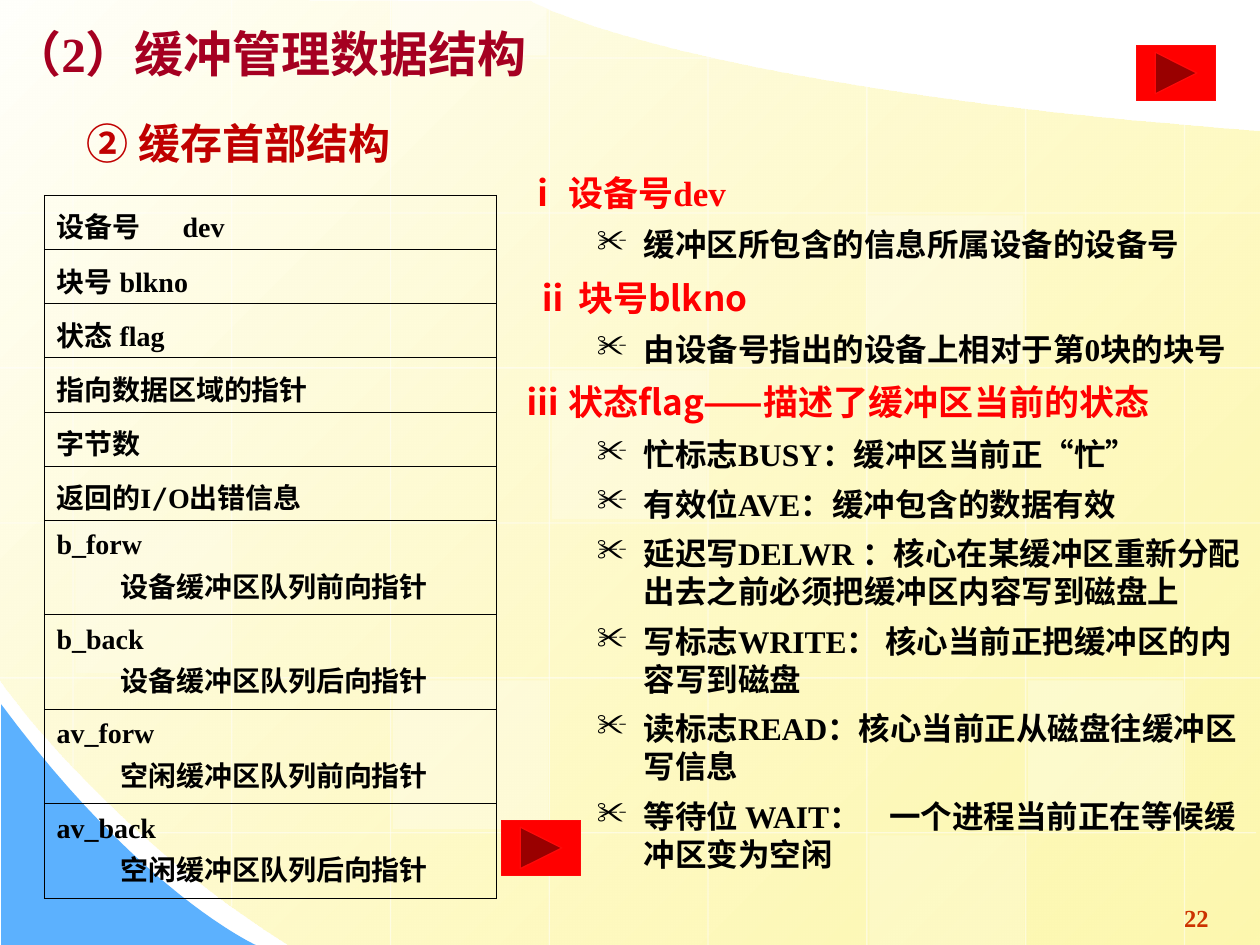
"""Build the slide on buffer management data structures."""
import pptx
import pptx.dml.color
import pptx.enum.shapes
import pptx.enum.text
import pptx.oxml.ns
import pptx.util
from lxml import etree

Inches, Pt = pptx.util.Inches, pptx.util.Pt
RGBColor = pptx.dml.color.RGBColor
SHAPE = pptx.enum.shapes.MSO_SHAPE
ALIGN = pptx.enum.text.PP_ALIGN
qn = pptx.oxml.ns.qn

WHITE, BLACK = RGBColor(255, 255, 255), RGBColor(0, 0, 0)
CREAM, YELLOW = RGBColor(0xFF, 0xFF, 0xFB), RGBColor(0xFD, 0xF5, 0x8D)
BLUE, RED = RGBColor(0x5C, 0xB1, 0xFE), RGBColor(255, 0, 0)
BUTTON_LINE, CRIMSON = RGBColor(0xFF, 0x09, 0x09), RGBColor(0xA5, 0, 0x21)
DARK_RED, ORANGE = RGBColor(0xC0, 0, 0), RGBColor(0xCC, 0x33, 0)
SERIF, SANS, MONO = "Times New Roman", "Noto Sans CJK SC", "DejaVu Sans Mono"

SWEEP = [(10, 1.04), [(10, 4.27), (10, 7.5), (10, 7.5)], [(10, 7.5), (6.15, 7.5), (2.3, 7.5)],
         [(0.86, 6.61), (-0.01, 5.39), (0, 5.39)], (-0.01, -0.01), (4.21, 0.01),
         [(4.21, 0.01), (5.37, 0.69), (10, 1.04)]]
CORNER = [(0.01, 5.59), (0.01, 7.5), (2.03, 7.5), [(2.03, 7.5), (1.12, 7.09), (0.01, 5.59)]]
VERTICAL_SPANS = [(0, 6.09), (0, 7.19), (0, 7.5), (0, 7.52), (0.43, 7.52), (0.68, 7.52),
                  (0.85, 7.52), (0.98, 7.52)]
HORIZONTAL_SPANS = [(5.68, 0), (10.01, 0), (10.01, 0), (10.01, 0), (10.01, 0), (9.97, 1.11)]
TILES = [(4.38, 2.94, 1.18, 25), (8.16, 5.4, 1.18, 30), (0.6, 4.16, 1.18, 20),
         (6.9, 6.63, 0.87, 20), (3.11, 0, 0.44, 40), (3.12, 5.4, 1.18, 30),
         (6.89, 1.71, 1.18, 30)]
BUTTONS = [(3.98, 6.51), (9.02, 0.36)]

FIELDS = [("设备号\tdev", 0.98), ("块号\tblkno", 0.86), ("状态\tflag", 0.86),
          ("指向数据区域的指针", None), ("字节数", None),
          ([("返回的I", SERIF), ("/", MONO), ("O出错信息", SERIF)], None)]
POINTERS = [("b_forw", "设备缓冲区队列前向指针"), ("b_back", "设备缓冲区队列后向指针"),
            ("av_forw", "空闲缓冲区队列前向指针"), ("av_back", "空闲缓冲区队列后向指针")]
SECTIONS = [
    ([("ⅰ ", SANS), ("设备号dev", SERIF)], 0.06, ["缓冲区所包含的信息所属设备的设备号"]),
    ([("ⅱ 块号blkno", SANS)], 0.14, ["由设备号指出的设备上相对于第0块的块号"]),
    ([("ⅲ 状态flag——描述了缓冲区当前的状态", SANS)], 0.06, [
        "忙标志BUSY：缓冲区当前正“忙”",
        "有效位AVE：缓冲包含的数据有效",
        "延迟写DELWR ：核心在某缓冲区重新分配出去之前必须把缓冲区内容写到磁盘上",
        "写标志WRITE： 核心当前正把缓冲区的内容写到磁盘",
        "读标志READ：核心当前正从磁盘往缓冲区写信息",
        "等待位 WAIT：\t一个进程当前正在等候缓冲区变为空闲"]),
]


def add_element(parent, tag, **attributes):
    element = etree.SubElement(parent, qn(tag))
    for name, value in attributes.items():
        element.set(name, str(value))
    return element


def set_alpha(color_parent, percent):
    color = next(color_parent.iter(qn("a:srgbClr")))
    add_element(color, "a:alpha", val=percent * 1000)


def add_text(frame, text, size=16, color=BLACK, left=0, hanging=0, before=0, spacing=None,
             bullet=None, tab=None, align=ALIGN.LEFT):
    first = not frame.paragraphs[0].runs
    paragraph = frame.paragraphs[0] if first else frame.add_paragraph()
    paragraph.alignment = align
    paragraph.space_before = Pt(0 if first else before)
    if spacing:
        paragraph.line_spacing = spacing
    properties = paragraph._p.get_or_add_pPr()
    properties.set("marL", str(Inches(left)))
    properties.set("indent", str(Inches(-hanging)))
    if bullet:
        add_element(add_element(properties, "a:buClr"), "a:srgbClr", val=color)
        add_element(properties, "a:buChar", char=bullet)
    if tab:
        add_element(add_element(properties, "a:tabLst"), "a:tab", pos=Inches(tab), algn="l")
    for words, font in [(text, SERIF)] if isinstance(text, str) else text:
        run = paragraph.add_run()
        run.text = words
        run.font.size, run.font.bold, run.font.name = Pt(size), True, font
        run.font.color.rgb = color
        add_element(run._r.get_or_add_rPr(), "a:ea", typeface=SANS)


def add_box(slide, left, top, width, height):
    box = slide.shapes.add_textbox(Inches(left), Inches(top), Inches(width), Inches(height))
    box.text_frame.word_wrap = True
    return box.text_frame


def flatten(outline, steps=24):
    points = [outline[0]]
    for part in outline[1:]:
        if isinstance(part, tuple):
            points.append(part)
            continue
        start = points[-1]
        for step in range(1, steps + 1):
            t = step / steps
            weights = ((1 - t) ** 3, 3 * t * (1 - t) ** 2, 3 * t * t * (1 - t), t ** 3)
            points.append(tuple(sum(weight * point[axis] for weight, point
                                    in zip(weights, [start] + part)) for axis in (0, 1)))
    return [(Inches(x), Inches(y)) for x, y in points]


def add_outline(slide, outline):
    start, *rest = flatten(outline)
    builder = slide.shapes.build_freeform(*start, scale=1.0)
    builder.add_line_segments(rest, close=True)
    shape = builder.convert_to_shape()
    shape.shadow.inherit = False
    shape.line.fill.background()
    return shape


def add_grid_line(slide, *ends):
    line = slide.shapes.add_connector(pptx.enum.shapes.MSO_CONNECTOR.STRAIGHT,
                                      *[Inches(end) for end in ends])
    line.line.color.rgb = WHITE
    line.line.width = Pt(0.75)
    set_alpha(line._element.spPr, 50)
    add_element(line._element.spPr, "a:effectLst")


def add_filled(slide, preset, left, top, width, height, color):
    shape = slide.shapes.add_shape(preset, Inches(left), Inches(top), Inches(width),
                                   Inches(height))
    shape.shadow.inherit = False
    shape.fill.solid()
    shape.fill.fore_color.rgb = color
    return shape


def add_background(slide):
    sweep = add_outline(slide, SWEEP)
    sweep.fill.gradient()
    sweep.fill.gradient_angle = 315
    for stop, color, position in zip(sweep.fill.gradient_stops, (CREAM, YELLOW), (0, 1)):
        stop.color.rgb = color
        stop.position = position
    set_alpha(sweep._element.spPr.findall(".//" + qn("a:gs"))[1], 70)
    corner = add_outline(slide, CORNER)
    corner.fill.solid()
    corner.fill.fore_color.rgb = BLUE
    for index, (top, bottom) in enumerate(VERTICAL_SPANS):
        x = 0.58 + 1.26 * index
        add_grid_line(slide, x, top, x, bottom)
    for index, (right, left) in enumerate(HORIZONTAL_SPANS):
        y = 0.46 + 1.23 * index
        add_grid_line(slide, right, y, left, y)
    for left, top, height, opacity in TILES:
        tile = add_filled(slide, SHAPE.RECTANGLE, left, top, 1.23, height, WHITE)
        tile.line.fill.background()
        set_alpha(tile._element.spPr, opacity)


def add_field_table(slide):
    heights = [0.43] * len(FIELDS) + [0.75] * len(POINTERS)
    table = slide.shapes.add_table(len(heights), 1, Inches(0.35), Inches(1.55), Inches(3.59),
                                   Inches(sum(heights))).table
    table.first_row = table.horz_banding = False
    for row, height in zip(table.rows, heights):
        row.height = Inches(height)
        cell = row.cells[0]
        for side in ("a:lnL", "a:lnR", "a:lnT", "a:lnB"):
            border = add_element(cell._tc.get_or_add_tcPr(), side, w=Pt(0.45))
            add_element(add_element(border, "a:solidFill"), "a:srgbClr", val=BLACK)
        cell.fill.background()
    frames = [row.cells[0].text_frame for row in table.rows]
    for frame, (text, tab) in zip(frames, FIELDS):
        add_text(frame, text, spacing=1.1, tab=tab)
    for frame, (name, meaning) in zip(frames[len(FIELDS):], POINTERS):
        add_text(frame, name, spacing=1.1)
        add_text(frame, meaning, spacing=1.1, left=0.51)


def main():
    presentation = pptx.Presentation()
    presentation.slide_width, presentation.slide_height = Inches(10), Inches(7.5)
    slide = presentation.slides.add_slide(presentation.slide_layouts[6])
    add_background(slide)
    add_text(add_box(slide, 9.29, 7.12, 0.41, 0.34), "22", size=14, color=ORANGE,
             align=ALIGN.CENTER)
    add_text(add_box(slide, 0.42, 0.88, 3.52, 0.5), [("② ", SANS), ("缓存首部结构", SERIF)],
             size=24, color=DARK_RED, left=0.17)
    add_field_table(slide)
    body = add_box(slide, 4.01, 1.31, 5.94, 5.96)
    for heading, left, details in SECTIONS:
        add_text(body, heading, size=20, color=RED, left=left, before=7.5)
        for detail in details:
            add_text(body, detail, size=18, left=1, hanging=0.37, before=6.8, bullet="✂",
                     tab=2.95 if "\t" in detail else None)
    add_text(add_box(slide, 0, 0, 5.7, 0.71), "（2）缓冲管理数据结构", size=28, color=CRIMSON,
             spacing=1.3)
    for left, top in BUTTONS:
        button = add_filled(slide, SHAPE.ACTION_BUTTON_FORWARD_OR_NEXT, left, top, 0.63, 0.44, RED)
        button.line.color.rgb = BUTTON_LINE
        button.line.width = Pt(0.75)
    presentation.save("out.pptx")


if __name__ == "__main__":
    main()
